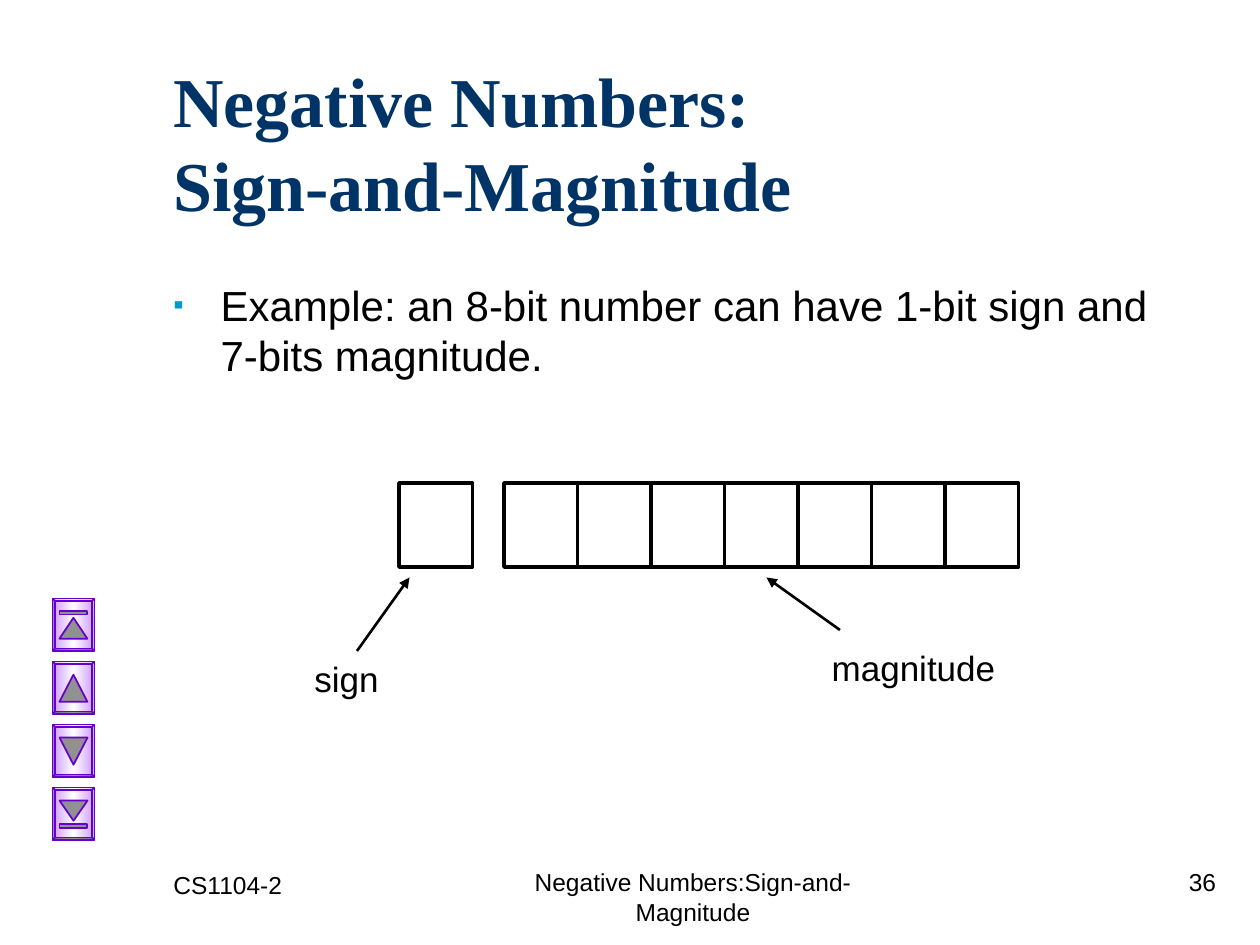
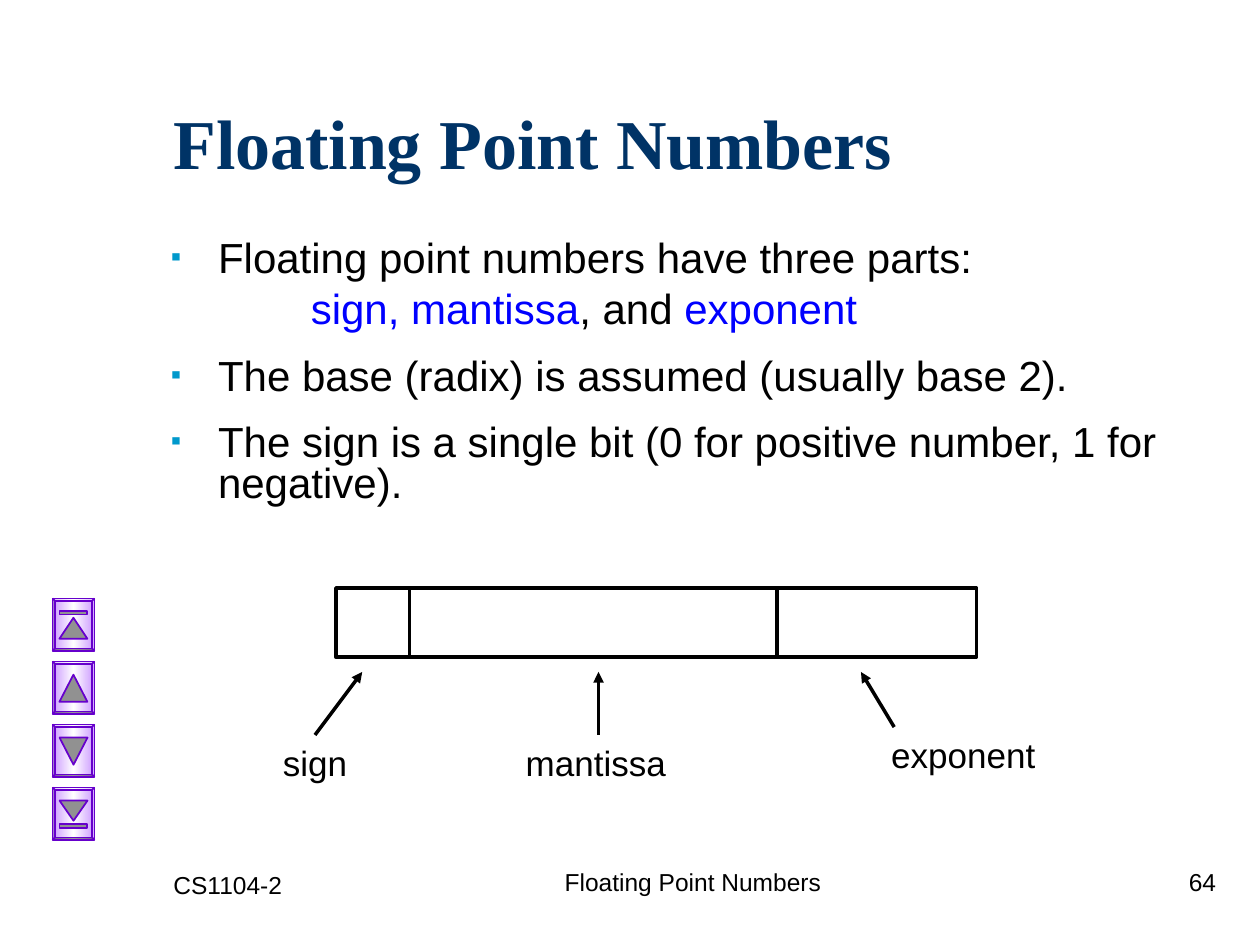
from dataclasses import dataclass
from itertools import accumulate
from typing import NamedTuple, Optional

from lxml.etree import SubElement
from pptx import Presentation
from pptx.dml.color import RGBColor
from pptx.enum.shapes import MSO_CONNECTOR as Connector
from pptx.enum.shapes import MSO_SHAPE as Preset
from pptx.enum.text import MSO_ANCHOR as Anchor
from pptx.enum.text import PP_ALIGN as Align
from pptx.oxml import parse_xml
from pptx.oxml.ns import nsdecls, qn
from pptx.util import Pt

# Shared colours
BLACK = RGBColor(0x00, 0x00, 0x00)
NAVY = RGBColor(0x00, 0x33, 0x66)
BLUE = RGBColor(0x00, 0x00, 0xFF)
CYAN = RGBColor(0x00, 0x99, 0xCC)
PURPLE = RGBColor(0x66, 0x00, 0xCC)
LILAC = RGBColor(0xCC, 0x99, 0xFF)
WHITE = RGBColor(0xFF, 0xFF, 0xFF)
GREY = RGBColor(0x91, 0x91, 0x91)

# Shared text formats
TITLE = {"name": "Times New Roman", "size": Pt(40), "bold": True}
BODY = {"name": "Arial", "size": Pt(24)}
LABEL = {"name": "Arial", "size": Pt(20)}
FOOTER = {"name": "Arial", "size": Pt(14)}

# Shared measures, in points
BODY_INDENT = 27
CELL_WIDTH = 42
CELL_LINE = 2
LABEL_HEIGHT = 31.5
BUTTON_TOP, BUTTON_STEP = 342, 36
BUTTON_WIDTH, BUTTON_HEIGHT = 24, 30
BUTTON_CENTRE = 42
GLYPH_WIDTH = 16


class Area(NamedTuple):
    left: float
    top: float
    width: float
    height: float


class Span(NamedTuple):
    text: str
    color: RGBColor = BLACK


@dataclass(frozen=True)
class Para:
    spans: tuple[Span, ...]
    align: Align = Align.LEFT
    space_before: float = 0
    line_spacing: Optional[float] = None
    bullet: bool = False
    indent: float = 0


@dataclass(frozen=True)
class Button:
    turn: int
    glyph_top: float
    glyph_height: float
    bar_top: Optional[float] = None


@dataclass(frozen=True)
class Arrow:
    start: tuple[float, float]
    end: tuple[float, float]
    width: float


@dataclass(frozen=True)
class Label:
    text: str
    left: float
    top: float
    width: float


@dataclass(frozen=True)
class Page:
    title: str
    footer: str
    number: str
    body_area: Area
    body: tuple[Para, ...]
    cells: tuple[Area, ...]
    arrows: tuple[Arrow, ...]
    labels: tuple[Label, ...]


def cell_row(left: float, top: float, height: float, widths: list[float]) -> tuple[Area, ...]:
    """Place touching cells from left to right."""
    lefts = accumulate(widths[:-1], initial=left)
    return tuple(Area(x, top, width, height) for x, width in zip(lefts, widths))


BUTTONS = (
    Button(0, 11, 12, bar_top=7.2),
    Button(0, 7.5, 15.5),
    Button(180, 7.5, 15.5),
    Button(180, 7.5, 11.5, bar_top=21),
)

PAGES = (
    Page(
        title="Negative Numbers:\vSign-and-Magnitude",
        footer="Negative Numbers:Sign-and-Magnitude",
        number="36",
        body_area=Area(92, 156, 598, 72),
        body=(
            Para((Span("Example: an 8-bit number can have 1-bit sign and 7-bits magnitude."),),
                 bullet=True, indent=BODY_INDENT),
        ),
        cells=cell_row(228, 276, 48, [CELL_WIDTH]) + cell_row(288, 276, 48, [CELL_WIDTH] * 7),
        arrows=(
            Arrow((204, 372), (234, 330), 1.5),
            Arrow((480, 360), (438, 330), 1.5),
        ),
        labels=(
            Label("sign", 162, 372, 72),
            Label("magnitude", 468, 366, 108),
        ),
    ),
    Page(
        title="Floating Point Numbers",
        footer="Floating Point Numbers",
        number="64",
        body_area=Area(90.5, 134.5, 629.5, 178),
        body=(
            Para((Span("Floating point numbers have three parts:"),),
                 line_spacing=0.8, bullet=True, indent=BODY_INDENT),
            Para((Span("sign, mantissa", BLUE), Span(", and "), Span("exponent", BLUE)),
                 space_before=6, line_spacing=0.8, indent=80),
            Para((Span("The base (radix) is assumed (usually base 2)."),),
                 space_before=15, line_spacing=0.8, bullet=True, indent=BODY_INDENT),
            Para((Span("The sign is a single bit (0 for positive number, 1 for negative)."),),
                 space_before=15, line_spacing=0.8, bullet=True, indent=BODY_INDENT),
        ),
        cells=cell_row(192, 336, 39.6, [CELL_WIDTH, 210, 114]),
        arrows=(
            Arrow((180, 420), (207, 384), 2),
            Arrow((342, 420), (342, 384), 2),
            Arrow((511, 415.5), (492, 384), 2),
        ),
        labels=(
            Label("sign", 150, 420, 60),
            Label("mantissa", 282, 420, 117),
            Label("exponent", 489, 415.5, 123),
        ),
    ),
)


def add_bullet(paragraph) -> None:
    properties = paragraph._p.get_or_add_pPr()
    color = SubElement(properties, qn("a:buClr"))
    SubElement(color, qn("a:srgbClr"), val=str(CYAN))
    SubElement(properties, qn("a:buSzPct"), val="70000")
    SubElement(properties, qn("a:buFont"), typeface="Arial")
    SubElement(properties, qn("a:buChar"), char="▪")


def add_text(slide, area: Area, paras: tuple[Para, ...], style: dict,
             anchor: Anchor = Anchor.TOP) -> None:
    frame = slide.shapes.add_textbox(*map(Pt, area)).text_frame
    frame.word_wrap = True
    frame.vertical_anchor = anchor
    for index, para in enumerate(paras):
        paragraph = frame.paragraphs[0] if index == 0 else frame.add_paragraph()
        properties = paragraph._p.get_or_add_pPr()
        properties.set("marL", str(Pt(para.indent)))
        properties.set("indent", str(Pt(-para.indent if para.bullet else 0)))
        if para.bullet:
            add_bullet(paragraph)
        layout = {"alignment": para.align, "space_before": Pt(para.space_before),
                  "line_spacing": para.line_spacing}
        for name, value in layout.items():
            setattr(paragraph, name, value)
        for span in para.spans:
            # A vertical tab marks a line break inside the paragraph
            for number, line in enumerate(span.text.split("\v")):
                if number:
                    paragraph.add_line_break()
                run = paragraph.add_run()
                run.text = line
                for name, value in style.items():
                    setattr(run.font, name, value)
                run.font.color.rgb = span.color


def add_outline(slide, preset: Preset, area: Area, line: RGBColor, width: float,
                fill: Optional[RGBColor] = None):
    shape = slide.shapes.add_shape(preset, *map(Pt, area))
    shape.shadow.inherit = False
    if fill is None:
        shape.fill.background()
    else:
        shape.fill.solid()
        shape.fill.fore_color.rgb = fill
    shape.line.color.rgb = line
    shape.line.width = Pt(width)
    return shape


def add_arrow(slide, arrow: Arrow) -> None:
    ends = map(Pt, arrow.start + arrow.end)
    connector = slide.shapes.add_connector(Connector.STRAIGHT, *ends)
    connector.line.color.rgb = BLACK
    connector.line.width = Pt(arrow.width)
    SubElement(connector.line._get_or_add_ln(), qn("a:tailEnd"), type="triangle")
    SubElement(connector._element.spPr, qn("a:effectLst"))


def set_lilac_gradient(shape) -> None:
    shape.fill.gradient()
    shape.fill.gradient_angle = 90
    stops = shape._element.spPr.find(qn("a:gradFill")).find(qn("a:gsLst"))
    for stop in list(stops):
        stops.remove(stop)
    for position, color in ((0, LILAC), (50000, WHITE), (100000, LILAC)):
        stops.append(parse_xml(
            f'<a:gs {nsdecls("a")} pos="{position}"><a:srgbClr val="{color}"/></a:gs>'))


def add_button(slide, button: Button, top: float) -> None:
    # The bevel lies on its side and is turned upright
    face_area = Area(BUTTON_CENTRE - BUTTON_HEIGHT / 2,
                     top + (BUTTON_HEIGHT - BUTTON_WIDTH) / 2, BUTTON_HEIGHT, BUTTON_WIDTH)
    face = add_outline(slide, Preset.BEVEL, face_area, PURPLE, 1)
    face.adjustments[0] = 0.06
    face.rotation = 90
    set_lilac_gradient(face)

    glyph_left = BUTTON_CENTRE - GLYPH_WIDTH / 2
    glyph_area = Area(glyph_left, top + button.glyph_top, GLYPH_WIDTH, button.glyph_height)
    glyph = add_outline(slide, Preset.ISOSCELES_TRIANGLE, glyph_area, PURPLE, 1, GREY)
    glyph.rotation = button.turn
    if button.bar_top is not None:
        bar_area = Area(glyph_left, top + button.bar_top, GLYPH_WIDTH, 2)
        add_outline(slide, Preset.RECTANGLE, bar_area, PURPLE, 1, GREY)


def add_page(deck, page: Page) -> None:
    slide = deck.slides.add_slide(deck.slide_layouts[6])

    # Title and body
    add_text(slide, Area(92, 36, 612, 90), (Para((Span(page.title, NAVY),)),),
             TITLE, Anchor.MIDDLE)
    add_text(slide, page.body_area, page.body, BODY)

    # Bit layout diagram
    for cell in page.cells:
        add_outline(slide, Preset.RECTANGLE, cell, BLACK, CELL_LINE)
    for arrow in page.arrows:
        add_arrow(slide, arrow)
    for label in page.labels:
        area = Area(label.left, label.top, label.width, LABEL_HEIGHT)
        add_text(slide, area, (Para((Span(label.text),), Align.CENTER),), LABEL)

    # Navigation buttons
    for index, button in enumerate(BUTTONS):
        add_button(slide, button, BUTTON_TOP + index * BUTTON_STEP)

    # Footer
    for text, area, align in (
        (page.footer, Area(282, 492, 228, 36), Align.CENTER),
        (page.number, Area(552, 492, 150, 36), Align.RIGHT),
        ("CS1104-2", Area(92, 493.5, 150, 36), Align.LEFT),
    ):
        add_text(slide, area, (Para((Span(text),), align),), FOOTER)


def main() -> None:
    deck = Presentation()
    deck.slide_width, deck.slide_height = Pt(720), Pt(540)
    for page in PAGES:
        add_page(deck, page)
    deck.save("out.pptx")


if __name__ == "__main__":
    main()
